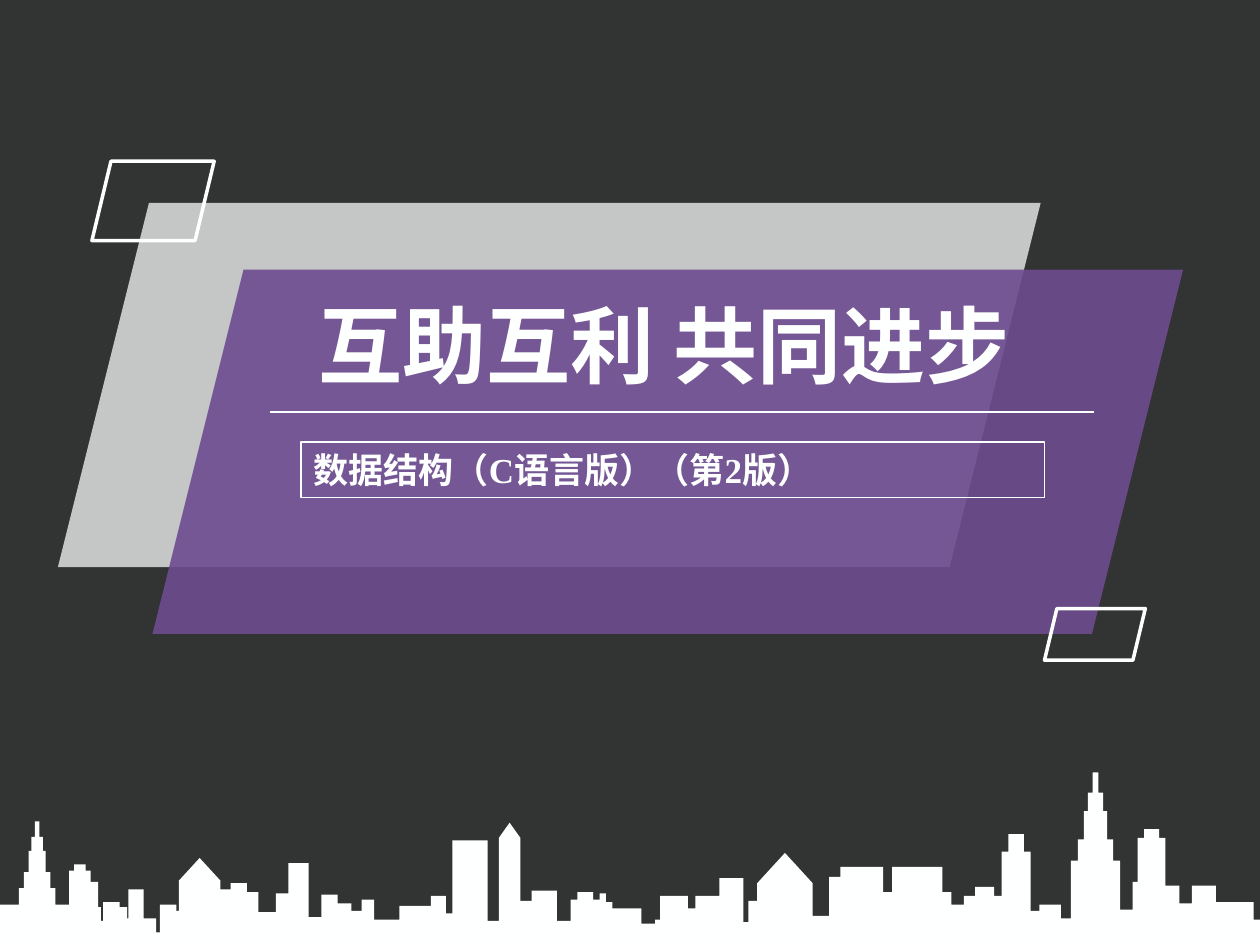
from dataclasses import dataclass

from lxml import etree
from pptx import Presentation
from pptx.dml.color import RGBColor
from pptx.enum import shapes, text
from pptx.oxml import ns
from pptx.util import Inches, Pt


@dataclass(frozen=True)
class Theme:
    night: RGBColor = RGBColor.from_string("000000")
    white: RGBColor = RGBColor.from_string("FEFFFF")
    purple: RGBColor = RGBColor.from_string("6C4C8F")
    font: str = "Times New Roman"
    title: int = 48
    subtitle: int = 20


theme = Theme()


def write(frame, wording, size, align):
    frame.word_wrap = True
    frame.auto_size = text.MSO_AUTO_SIZE.NONE
    frame.vertical_anchor = text.MSO_ANCHOR.TOP
    frame.margin_left = frame.margin_right = Inches(0.1)
    frame.margin_top = frame.margin_bottom = Inches(0.05)
    paragraph = frame.paragraphs[0]
    paragraph.alignment = align
    run = paragraph.add_run()
    run.text = wording
    run.font.name = theme.font
    run.font.size = Pt(size)
    run.font.bold = True
    run.font.color.rgb = theme.white


def building_outline(half_profile, left, width, height, rise):
    half = width / 2
    centre = left + half
    rising = [(centre - half * reach, GROUND - height - rise * lift) for reach, lift in half_profile]
    falling = [(2 * centre - x, y) for x, y in reversed(rising)]
    return rising + falling


prs = Presentation()
prs.slide_width, prs.slide_height = Inches(10), Inches(7.5)
slide = prs.slides.add_slide(prs.slide_layouts[5])
slide.background.fill.solid()
slide.background.fill.fore_color.rgb = theme.night

RECT = shapes.MSO_SHAPE.RECTANGLE
SLANT = shapes.MSO_SHAPE.PARALLELOGRAM
panels = [
    (RECT, (0, -0.07, 10, 7.57), theme.white, 20),
    (SLANT, (0.46, 1.61, 7.8, 2.89), theme.white, 72),
    (SLANT, (1.21, 2.14, 8.18, 2.89), theme.purple, 90),
]
for preset, place, color, opacity in panels:
    panel = slide.shapes.add_shape(preset, *map(Inches, place))
    panel.shadow.inherit = False
    panel.fill.solid()
    panel.fill.fore_color.rgb = color
    panel.line.fill.background()
    tint = panel.fill._xPr.find(ns.qn("a:solidFill"))[0]
    etree.SubElement(tint, ns.qn("a:alpha"), val=str(opacity * 1000))

title = slide.shapes.title
title.left, title.top, title.width, title.height = map(Inches, (2.43, 2.28, 6.38, 0.91))
slide.shapes._spTree.append(title._element)
write(title.text_frame, "互助互利 共同进步", theme.title, text.PP_ALIGN.JUSTIFY)

divider = slide.shapes.add_connector(
    shapes.MSO_CONNECTOR.STRAIGHT, Inches(2.14), Inches(3.27), Inches(8.68), Inches(3.27)
)
divider.line.color.rgb = theme.white
divider.line.width = Pt(0.75)
etree.SubElement(divider._element.spPr, ns.qn("a:effectLst"))

subtitle = slide.shapes.add_textbox(Inches(2.39), Inches(3.51), Inches(5.9), Inches(0.44))
subtitle.line.color.rgb = theme.white
subtitle.line.width = Pt(1)
write(subtitle.text_frame, "数据结构（C语言版）（第2版）", theme.subtitle, text.PP_ALIGN.LEFT)

for place in [(0.73, 1.28, 0.97, 0.63), (8.29, 4.83, 0.8, 0.41)]:
    corner = slide.shapes.add_shape(SLANT, *map(Inches, place))
    corner.shadow.inherit = False
    corner.adjustments[0] = 0.24
    corner.fill.background()
    corner.line.color.rgb = theme.white
    corner.line.width = Pt(2)

GROUND = 7.5
FLAT = [(1, 0)]
GABLE = [(1, 0), (0, 1)]
CAPPED = [(1, 0), (0.54, 0), (0.54, 1)]
SPIRE = [(1, 0)]
for reach, lift in [(0.72, 0.24), (0.47, 0.56), (0.31, 0.77), (0.12, 1)]:
    SPIRE += [(reach, SPIRE[-1][1]), (reach, lift)]

# Each landmark has roof form, width, height and rise; its street lists (width, height).
districts = {
    "west edge": (FLAT, 0.15, 0.32, 0, []),
    "west spire": (SPIRE, 0.29, 0.45, 0.53, [(0.11, 0.32)]),
    "west tower": (CAPPED, 0.17, 0.59, 0.05, [
        (0.06, 0.5), (0.02, 0.3), (0.02, 0.19), (0.13, 0.34), (0.06, 0.3), (0.01, 0.21),
        (0.12, 0.44), (0.1, 0.21), (0.03, 0.1), (0.13, 0.32), (0.02, 0.27),
    ]),
    "west hall": (GABLE, 0.33, 0.51, 0.18, [
        (0.08, 0.44), (0.13, 0.49), (0.09, 0.42), (0.14, 0.26), (0.1, 0.41), (0.16, 0.65),
        (0.1, 0.22), (0.13, 0.4), (0.11, 0.33), (0.08, 0.27), (0.1, 0.36), (0.2, 0.2),
        (0.25, 0.31), (0.12, 0.39), (0.05, 0.25), (0.28, 0.83), (0.09, 0.19),
    ]),
    "obelisk": (GABLE, 0.17, 0.85, 0.12, [(0.09, 0.35), (0.2, 0.43), (0.11, 0.19)]),
    "market": (CAPPED, 0.23, 0.36, 0.06, [
        (0.05, 0.41), (0.05, 0.34), (0.23, 0.29), (0.11, 0.17), (0.04, 0.2), (0.22, 0.39),
        (0.06, 0.29), (0.19, 0.39), (0.19, 0.53), (0.04, 0.18), (0.07, 0.35),
    ]),
    "east hall": (GABLE, 0.44, 0.49, 0.24, [
        (0.13, 0.23), (0.09, 0.54), (0.34, 0.62), (0.07, 0.42), (0.4, 0.62), (0.07, 0.42),
        (0.1, 0.32), (0.09, 0.39), (0.15, 0.46), (0.06, 0.39),
    ]),
    "office": (CAPPED, 0.23, 0.74, 0.14, [(0.07, 0.27), (0.17, 0.32), (0.08, 0.21)]),
    "east spire": (SPIRE, 0.39, 0.67, 0.7, [(0.1, 0.28), (0.04, 0.5)]),
    "east tower": (CAPPED, 0.22, 0.85, 0.07, [
        (0.11, 0.47), (0.1, 0.33), (0.19, 0.47), (0.3, 0.34), (0.05, 0.2),
    ]),
}
outline = [(0, GROUND)]
left = 0
for form, landmark_width, landmark_height, landmark_rise, street in districts.values():
    buildings = [(form, landmark_width, landmark_height, landmark_rise)]
    buildings += [(FLAT, width, height, 0) for width, height in street]
    for half_profile, width, height, rise in buildings:
        outline += building_outline(half_profile, left, width, height, rise)
        left += width
outline.append((left, GROUND))

points = [(Inches(x), Inches(y)) for x, y in outline]
builder = slide.shapes.build_freeform(*points[0])
builder.add_line_segments(points[1:], close=True)
skyline = builder.convert_to_shape()
skyline.shadow.inherit = False
skyline.fill.solid()
skyline.fill.fore_color.rgb = theme.white
skyline.line.fill.background()

prs.save("out.pptx")
